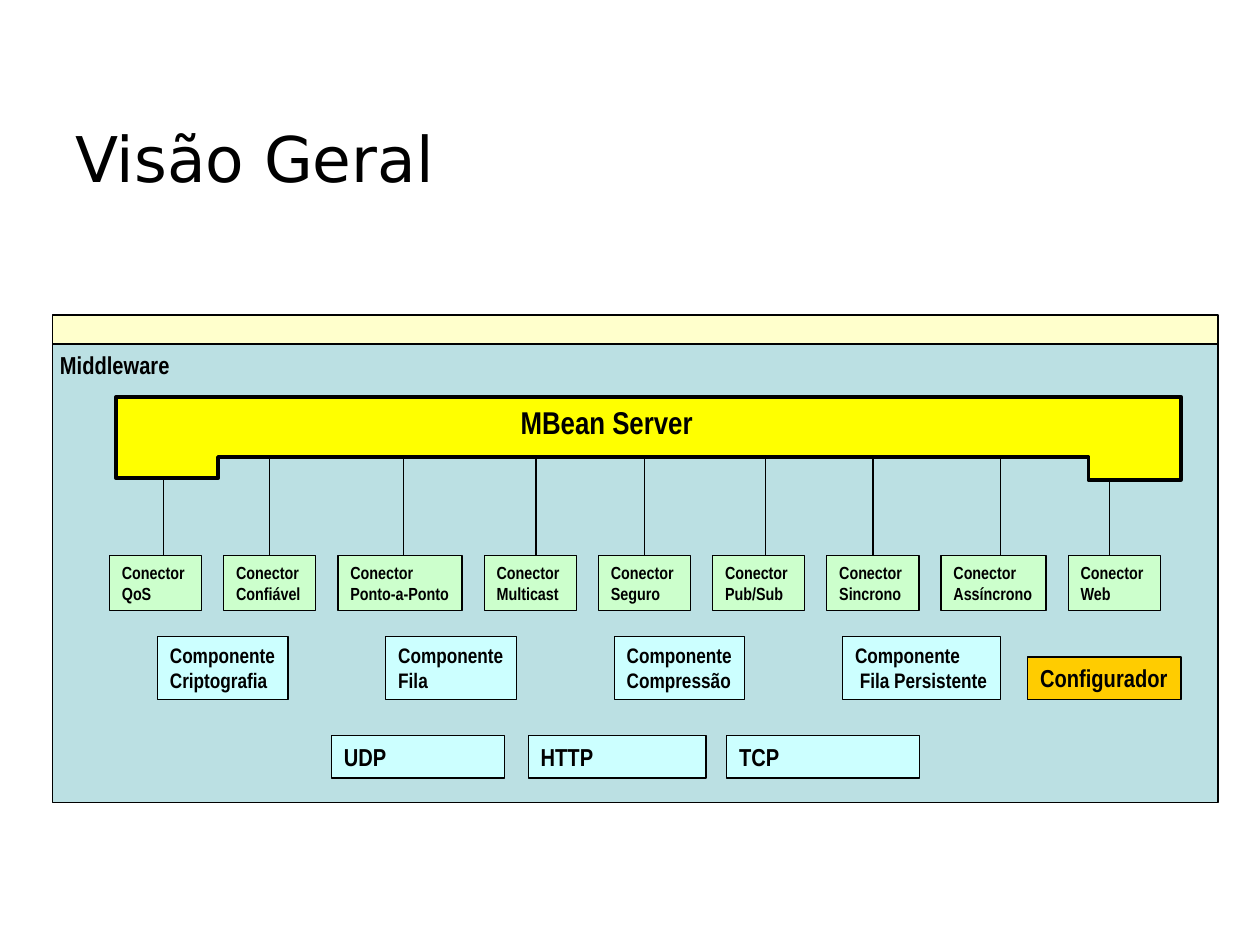
from dataclasses import dataclass

from lxml import etree
from pptx import Presentation
from pptx import util as u
from pptx.dml import color
from pptx.enum import shapes, text
from pptx.oxml import ns

Pt = u.Pt


@dataclass(frozen=True)
class Theme:
    ink: str = "000000"
    middleware: str = "BBE0E3"
    header: str = "FFFFCC"
    server: str = "FFFF00"
    connector: str = "CCFFCC"
    component: str = "CCFFFF"
    configurator: str = "FFCC00"
    label_font: str = "Arial Narrow"
    title_font: str = "DejaVu Sans"
    title_size: float = 36
    server_size: float = 18
    label_size: float = 14
    component_size: float = 12
    connector_size: float = 10
    thin: float = 0.75
    thick: float = 2.25


THEME = Theme()


def rgb(value):
    return color.RGBColor.from_string(value)


def paint(shape, fill, width=THEME.thin):
    shape.shadow.inherit = False
    shape.fill.solid()
    shape.fill.fore_color.rgb = rgb(fill)
    shape.line.color.rgb = rgb(THEME.ink)
    shape.line.width = Pt(width)


def write(shape, lines, size, font=THEME.label_font, bold=True, wrap=False):
    frame = shape.text_frame
    frame.word_wrap = wrap
    frame.auto_size = text.MSO_AUTO_SIZE.SHAPE_TO_FIT_TEXT
    frame.vertical_anchor = text.MSO_ANCHOR.TOP
    for index, line in enumerate(lines):
        para = frame.add_paragraph() if index else frame.paragraphs[0]
        para.alignment = text.PP_ALIGN.LEFT
        span = para.add_run()
        span.text = line
        span.font.name = font
        span.font.size = Pt(size)
        span.font.bold = bold
        span.font.color.rgb = rgb(THEME.ink)


def add_box(page, left, top, width, height, fill):
    box = page.shapes.add_shape(
        shapes.MSO_SHAPE.RECTANGLE, Pt(left), Pt(top), Pt(width), Pt(height))
    paint(box, fill)
    return box


def add_label(page, left, top, width, height, line, size, **style):
    label = page.shapes.add_textbox(Pt(left), Pt(top), Pt(width), Pt(height))
    write(label, [line], size, **style)
    return label


def add_server(page):
    left, right, top, bottom = 66.4, 674.8, 226.8, 261.2
    outline = [(right, top), (right, 274.2), (622, 274.2), (622, bottom),
               (124.6, bottom), (124.6, 273.3), (left, 273.3)]
    builder = page.shapes.build_freeform(Pt(left), Pt(top))
    builder.add_line_segments([(Pt(x), Pt(y)) for x, y in outline], close=True)
    paint(builder.convert_to_shape(), THEME.server, THEME.thick)


def add_link(page, box, top, offset):
    x = box.left + box.width // 2 + Pt(offset)
    link = page.shapes.add_connector(
        shapes.MSO_CONNECTOR.STRAIGHT, x, Pt(top), x, box.top)
    if offset == 0:
        link.end_connect(box, 0)
    link.line.color.rgb = rgb(THEME.ink)
    link.line.width = Pt(THEME.thin)
    etree.SubElement(link._element.spPr, ns.qn("a:effectLst"))


def add_connectors(page):
    inner, outer = 261.2, 274.2
    connectors = [
        ("QoS", 52.6, outer, 4.7), ("Confiável", 52.6, inner, 0),
        ("Ponto-a-Ponto", 71, inner, 2), ("Multicast", 52.6, inner, 3.2),
        ("Seguro", 52.6, inner, 0), ("Pub/Sub", 52.6, inner, 4),
        ("Sincrono", 52.6, inner, 0), ("Assíncrono", 60, inner, 4),
        ("Web", 52.6, outer, -2.5),
    ]
    left, gap = 62.6, 12.65
    for name, width, top, offset in connectors:
        box = add_box(page, left, 317.4, width, 31.5, THEME.connector)
        write(box, ["Conector", name], THEME.connector_size)
        add_link(page, box, top, offset)
        left += width + gap


def add_components(page):
    components = [("Criptografia", 74.6), ("Fila", 74.6),
                  ("Compressão", 74.6), (" Fila Persistente", 90.4)]
    for index, (name, width) in enumerate(components):
        box = add_box(page, 90 + 130.5 * index, 363.6, width, 36.3, THEME.component)
        write(box, ["Componente", name], THEME.component_size)
    box = add_box(page, 587.3, 375.5, 87.6, 24.2, THEME.configurator)
    write(box, ["Configurador"], THEME.label_size)


def add_protocols(page):
    for name, left, width in [("UDP", 189.4, 98.9), ("HTTP", 301.9, 101.5),
                              ("TCP", 415.3, 110.2)]:
        box = add_box(page, left, 420.4, width, 24.2, THEME.component)
        write(box, [name], THEME.label_size, wrap=True)


def main():
    deck = Presentation()
    deck.slide_width, deck.slide_height = Pt(720), Pt(540)
    page = deck.slides.add_slide(deck.slide_layouts[6])

    add_box(page, 30, 196.6, 666, 262, THEME.middleware)
    add_server(page)
    add_connectors(page)
    add_components(page)
    add_protocols(page)
    add_label(page, 27.2, 196.6, 77.6, 24.2, "Middleware", THEME.label_size)
    add_box(page, 30, 180, 666, 16.6, THEME.header)
    add_label(page, 290.4, 226.8, 114, 28.8, "MBean Server", THEME.server_size)
    title = add_label(page, 36, 42, 648, 96, "Visão Geral", THEME.title_size,
                      font=THEME.title_font, bold=False, wrap=True)
    title.text_frame.auto_size = text.MSO_AUTO_SIZE.NONE
    title.text_frame.vertical_anchor = text.MSO_ANCHOR.MIDDLE

    deck.save("out.pptx")


if __name__ == "__main__":
    main()
